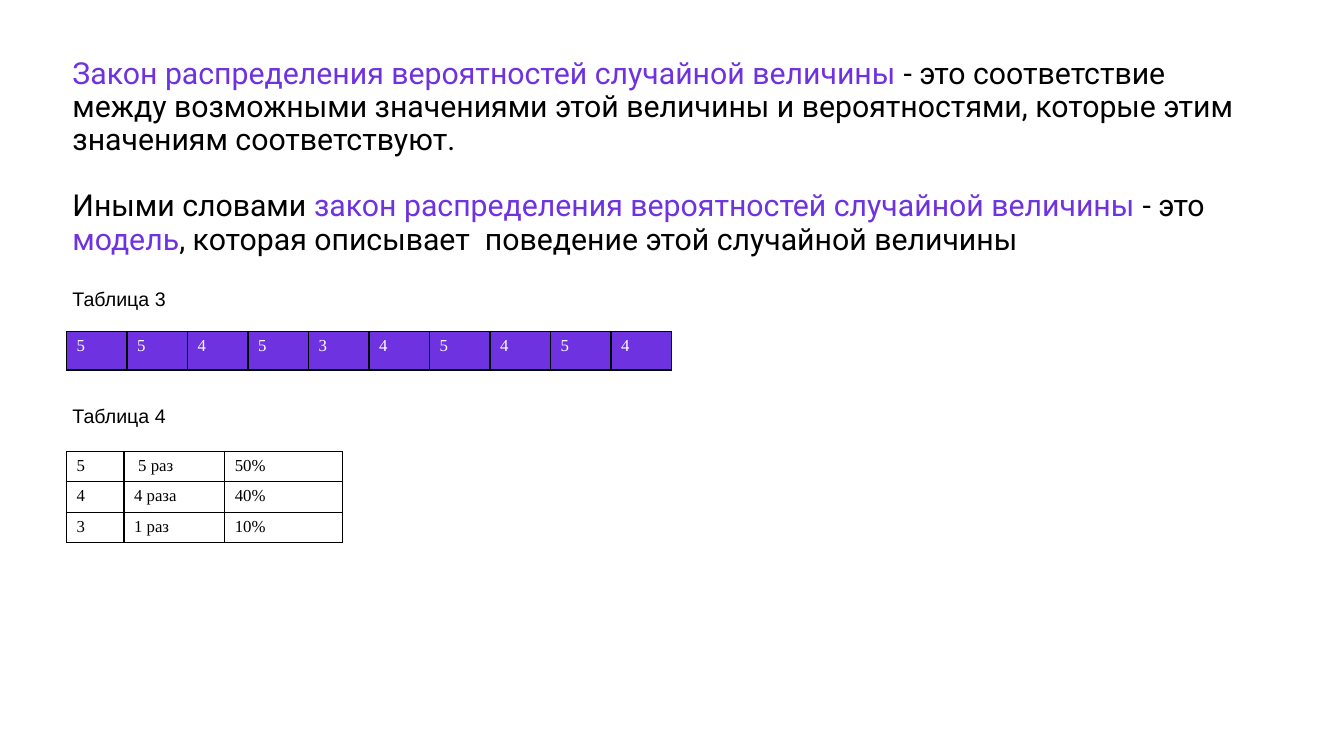
from lxml.etree import SubElement
from pptx import Presentation
from pptx.dml.color import RGBColor
from pptx.enum.text import MSO_AUTO_SIZE
from pptx.oxml.ns import qn
from pptx.util import Inches, Pt

VIOLET = RGBColor(0x6E, 0x32, 0xE0)
BLACK = RGBColor(0, 0, 0)
WHITE = RGBColor(0xFF, 0xFF, 0xFF)


def add_span(para, text, font, size, color):
    span = para.add_run()
    span.text = text
    for name, value in {"name": font, "size": Pt(size)}.items():
        setattr(span.font, name, value)
    span.font.color.rgb = color


def add_grid(page, top, widths, row_height, rows, fill, color):
    """Add a table with black one-point borders around every cell."""
    frame = page.shapes.add_table(
        len(rows), len(widths), Inches(0.66), Inches(top),
        Inches(sum(widths)), Inches(row_height * len(rows)))
    table = frame.table
    table.first_row = table.horz_banding = False
    for column, width in zip(table.columns, widths):
        column.width = Inches(width)
    for r, values in enumerate(rows):
        table.rows[r].height = Inches(row_height)
        for c, value in enumerate(values):
            cell = table.cell(r, c)
            add_span(cell.text_frame.paragraphs[0], value, "Times New Roman", 12, color)
            properties = cell._tc.get_or_add_tcPr()
            for side in ("a:lnL", "a:lnR", "a:lnT", "a:lnB"):
                line = SubElement(properties, qn(side), w=str(Pt(1)))
                SubElement(SubElement(line, qn("a:solidFill")), qn("a:srgbClr"), val=str(BLACK))
            if fill is None:
                cell.fill.background()
            else:
                cell.fill.solid()
                cell.fill.fore_color.rgb = fill


deck = Presentation()
deck.slide_width, deck.slide_height = Inches(13.33), Inches(7.5)
page = deck.slides.add_slide(deck.slide_layouts[6])

definition = [
    [("Закон распределения вероятностей случайной величины ", VIOLET),
     ("- это соответствие между возможными значениями этой величины и "
      "вероятностями, которые этим значениям соответствуют.", BLACK)],
    [("Иными словами ", BLACK),
     ("закон распределения вероятностей случайной величины ", VIOLET),
     ("- это ", BLACK),
     ("модель", VIOLET),
     (", которая описывает  поведение этой случайной величины", BLACK)],
]
box = page.shapes.add_textbox(Inches(0.62), Inches(0.52), Inches(11.82), Inches(2.1))
box.text_frame.word_wrap = True
for index, spans in enumerate(definition):
    para = box.text_frame.paragraphs[0] if index == 0 else box.text_frame.add_paragraph()
    para.line_spacing = 0.92
    para.space_before = Pt(23.4 * index)
    for text, color in spans:
        add_span(para, text, "Roboto", 21.6, color)

for caption, top in (("Таблица 3", 2.8), ("Таблица 4", 3.96)):
    box = page.shapes.add_textbox(Inches(0.62), Inches(top), Inches(1.13), Inches(0.34))
    box.text_frame.word_wrap = False
    box.text_frame.auto_size = MSO_AUTO_SIZE.SHAPE_TO_FIT_TEXT
    add_span(box.text_frame.paragraphs[0], caption, "Arial", 14, BLACK)

add_grid(page, 3.29, [0.6] * 10, 0.38, ["5545345454"], VIOLET, WHITE)
frequencies = [("5", " 5 раз", "50%"), ("4", "4 раза", "40%"), ("3", "1 раз", "10%")]
add_grid(page, 4.48, [0.57, 1, 1.17], 0.3, frequencies, None, BLACK)

deck.save("out.pptx")
